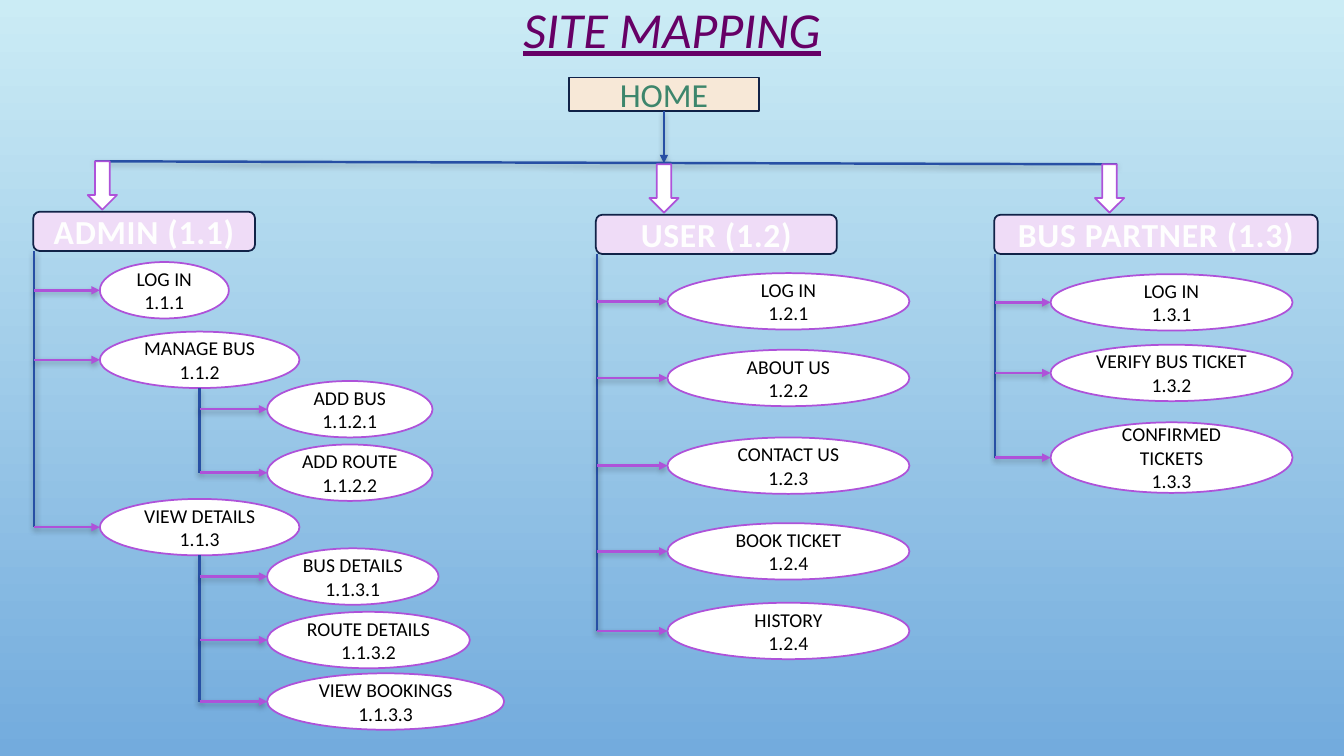
from dataclasses import dataclass

from lxml import etree
from pptx import Presentation
from pptx.dml.color import RGBColor
from pptx.enum.shapes import MSO_CONNECTOR, MSO_SHAPE
from pptx.enum.text import MSO_ANCHOR, PP_ALIGN
from pptx.oxml import parse_xml
from pptx.oxml.ns import nsdecls, qn
from pptx.util import Inches, Pt

RECTANGLE = MSO_SHAPE.RECTANGLE
OVAL = MSO_SHAPE.OVAL
DOWN_ARROW = MSO_SHAPE.DOWN_ARROW
HEADING_BOX = MSO_SHAPE.FLOWCHART_ALTERNATE_PROCESS
STRAIGHT = MSO_CONNECTOR.STRAIGHT
CENTER = PP_ALIGN.CENTER
TOP, MIDDLE = MSO_ANCHOR.TOP, MSO_ANCHOR.MIDDLE


@dataclass(frozen=True)
class Theme:
    font: str = "Calibri"
    sky_top: str = "CBECF5"
    sky_bottom: str = "73ABDD"
    title: str = "660066"
    home_fill: str = "F7E8D7"
    home_text: str = "3D866C"
    navy: str = "112348"
    blue: str = "274FA4"
    purple: str = "AE52D9"
    lilac: str = "EFDCF7"
    heading_text: str = "FEFEFE"
    heading_outline: str = "5C1B7B"
    white: str = "FFFFFF"
    black: str = "000000"
    title_size: float = 36
    heading_size: float = 24
    page_size: float = 14
    border: float = 1.25
    stroke: float = 1.75


THEME = Theme()


@dataclass(frozen=True)
class Page:
    """One page of the site; top is measured from the section's top."""
    label: str
    number: str
    top: float
    width: float = 2.4
    height: float = 0.56
    subpages: tuple = ()

    @property
    def middle(self):
        return self.top + self.height / 2


def rgb(code):
    return RGBColor.from_string(code)


def set_font(font, size, color):
    font.name = THEME.font
    font.size = Pt(size)
    font.color.rgb = rgb(color)


def add_box(slide, kind, box, fill, border, lines=(), size=0, color=THEME.black):
    shape = slide.shapes.add_shape(kind, *map(Inches, box))
    shape.shadow.inherit = False
    shape.fill.solid()
    shape.fill.fore_color.rgb = rgb(fill)
    shape.line.color.rgb = rgb(border)
    shape.line.width = Pt(THEME.border)
    frame = shape.text_frame
    frame.word_wrap = True
    frame.vertical_anchor = MIDDLE
    frame.margin_left = frame.margin_right = Inches(0.08)
    for i, line in enumerate(lines):
        paragraph = frame.add_paragraph() if i else frame.paragraphs[0]
        paragraph.text = line
        paragraph.alignment = CENTER
        set_font(paragraph.font, size, color)
    return shape


def add_line(slide, start, end, color, arrow=False):
    line = slide.shapes.add_connector(STRAIGHT, *map(Inches, start + end))
    line.line.color.rgb = rgb(color)
    line.line.width = Pt(THEME.stroke)
    if arrow:
        outline = line.line._get_or_add_ln()
        etree.SubElement(outline, qn("a:tailEnd"), type="triangle")
    line._element.spPr.append(parse_xml(
        f'<a:effectLst {nsdecls("a")}>'
        f'<a:outerShdw blurRad="{Pt(4)}" dist="{Pt(2)}" dir="5400000" rotWithShape="0">'
        f'<a:srgbClr val="{THEME.black}"><a:alpha val="28000"/></a:srgbClr>'
        '</a:outerShdw></a:effectLst>'))


def add_title(slide, box):
    title = slide.shapes.title
    title.left, title.top, title.width, title.height = map(Inches, box)
    title.text_frame.vertical_anchor = TOP
    paragraph = title.text_frame.paragraphs[0]
    paragraph.text = "SITE MAPPING"
    paragraph.alignment = CENTER
    paragraph.line_spacing = 0.9
    set_font(paragraph.font, THEME.title_size, THEME.title)
    paragraph.font.italic = True
    paragraph.font.underline = True


def add_home(slide, box):
    left, top, width, height = box
    add_box(slide, RECTANGLE, box, THEME.home_fill, THEME.navy,
            ["HOME"], THEME.heading_size, THEME.home_text)
    middle, bottom = left + width / 2, top + height
    add_line(slide, (middle, bottom), (middle, bottom + 0.52), THEME.blue, arrow=True)
    # Bar that spreads to the three sections
    add_line(slide, (0.94, bottom + 0.5), (11.08, bottom + 0.53), THEME.blue)


def add_heading(slide, box, text):
    heading = add_box(slide, HEADING_BOX, box, THEME.lilac, THEME.navy, [text],
                      THEME.heading_size, THEME.heading_text)
    run = heading.text_frame.paragraphs[0].runs[0]
    set_font(run.font, THEME.heading_size, THEME.heading_text)
    run.font.bold = True
    # Letter spacing and outline
    properties = run.font._element
    properties.set("spc", "50")
    properties.insert(0, parse_xml(
        f'<a:ln {nsdecls("a")} w="{Pt(0.75)}"><a:solidFill>'
        f'<a:srgbClr val="{THEME.heading_outline}"/></a:solidFill></a:ln>'))


def add_pages(slide, section_top, stem, stem_top, left, pages):
    """A stem with one arrow per page, and subpages on stems of their own."""
    add_line(slide, (stem, stem_top), (stem, section_top + pages[-1].middle), THEME.blue)
    for page in pages:
        top, middle = section_top + page.top, section_top + page.middle
        add_line(slide, (stem, middle), (left, middle), THEME.purple, arrow=True)
        add_box(slide, OVAL, (left, top, page.width, page.height), THEME.white,
                THEME.purple, [page.label, page.number], THEME.page_size)
        if page.subpages:
            center = left + page.width / 2
            add_pages(slide, section_top, center, top + page.height,
                      center + 0.67, page.subpages)


def add_section(slide, box, text, arrow_offset, indent, pages):
    left, top, width, height = box
    add_box(slide, DOWN_ARROW, (left + arrow_offset, top - 0.5, 0.29, 0.48),
            THEME.white, THEME.purple)
    add_heading(slide, box, text)
    add_pages(slide, top, left + 0.01, top + height, left + indent, pages)


ADMIN_PAGES = (
    Page("LOG IN", "1.1.1", 0.5, 1.28),
    Page("MANAGE BUS", "1.1.2", 1.19, 1.98, subpages=(
        Page("ADD BUS", "1.1.2.1", 1.68, 1.64),
        Page("ADD ROUTE", "1.1.2.2", 2.31, 1.64))),
    Page("VIEW DETAILS", "1.1.3", 2.85, 1.98, subpages=(
        Page("BUS DETAILS", "1.1.3.1", 3.34, 1.7),
        Page("ROUTE DETAILS", "1.1.3.2", 3.97, 2.01),
        Page("VIEW BOOKINGS", "1.1.3.3", 4.58, 2.35))),
)
USER_PAGES = (
    Page("LOG IN", "1.2.1", 0.58),
    Page("ABOUT US", "1.2.2", 1.34),
    Page("CONTACT US", "1.2.3", 2.21),
    Page("BOOK TICKET", "1.2.4", 3.06),
    Page("HISTORY", "1.2.4", 3.85),
)
PARTNER_PAGES = (
    Page("LOG IN", "1.3.1", 0.59),
    Page("VERIFY BUS TICKET", "1.3.2", 1.29),
    Page("CONFIRMED TICKETS", "1.3.3", 2.06, height=0.7),
)


def main():
    deck = Presentation()
    deck.slide_width, deck.slide_height = Inches(13.33), Inches(7.5)
    slide = deck.slides.add_slide(deck.slide_layouts[5])

    # Background
    sky = slide.background.fill
    sky.gradient()
    sky.gradient_angle = 270
    for stop, color in zip(sky.gradient_stops, (THEME.sky_top, THEME.sky_bottom)):
        stop.color.rgb = rgb(color)

    # Title, home page and the three sections
    add_title(slide, (1, 0, 11.33, 1.3))
    add_home(slide, (5.64, 0.77, 1.89, 0.33))
    add_section(slide, (0.33, 2.1, 2.2, 0.39), "ADMIN (1.1)", 0.54, 0.66, ADMIN_PAGES)
    add_section(slide, (5.91, 2.13, 2.39, 0.39), "USER (1.2)", 0.53, 0.71, USER_PAGES)
    add_section(slide, (9.86, 2.13, 3.21, 0.39), "BUS PARTNER (1.3)", 1, 0.56,
                PARTNER_PAGES)
    deck.save("out.pptx")


if __name__ == "__main__":
    main()
